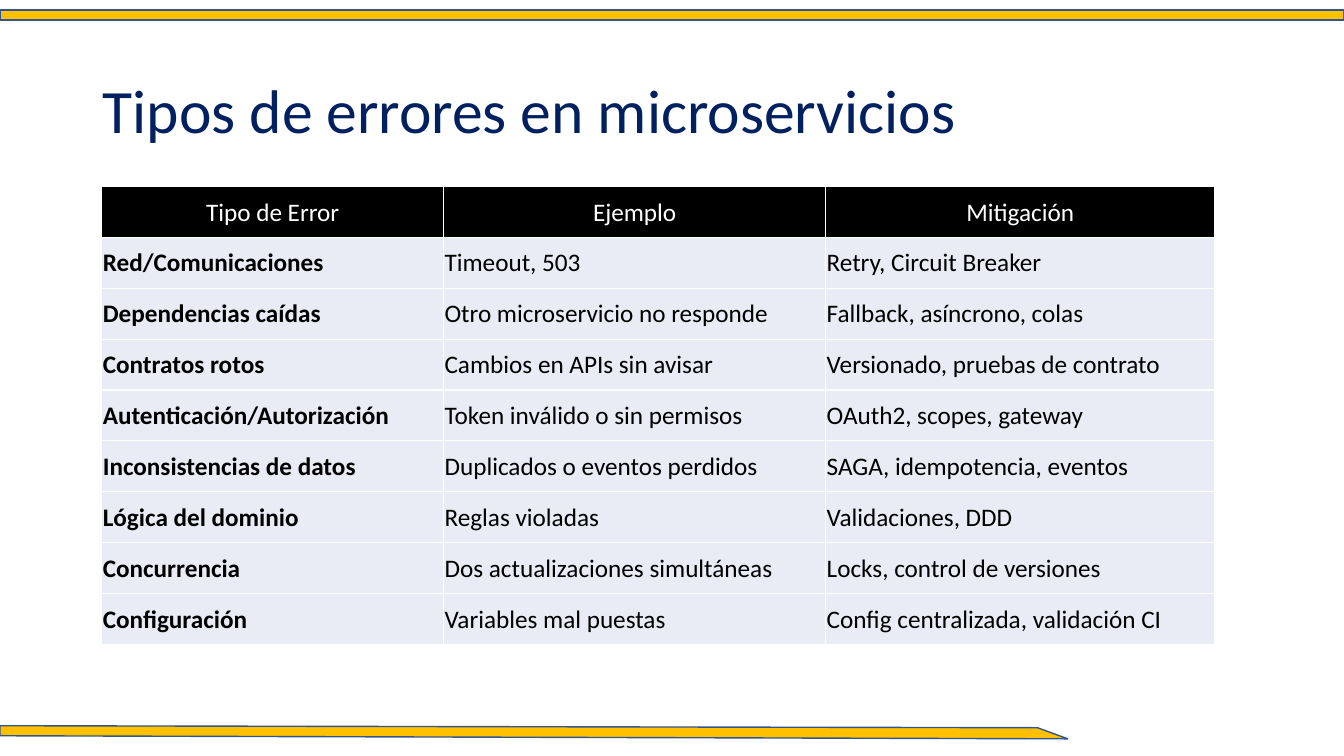
from dataclasses import dataclass

from lxml import etree
from pptx import Presentation
from pptx.dml.color import RGBColor
from pptx.enum.shapes import MSO_SHAPE
from pptx.enum.text import MSO_ANCHOR, MSO_AUTO_SIZE, PP_ALIGN
from pptx.oxml.ns import qn
from pptx.util import Inches, Pt

RECTANGLE = MSO_SHAPE.RECTANGLE
MIDDLE = MSO_ANCHOR.MIDDLE
NO_AUTOFIT = MSO_AUTO_SIZE.NONE
LEFT, CENTER = PP_ALIGN.LEFT, PP_ALIGN.CENTER

SLIDE_WIDTH, SLIDE_HEIGHT = 13.33, 7.5
TITLE_ONLY_LAYOUT = 5


@dataclass(frozen=True)
class Theme:
    font: str = "Calibri"
    title_size: int = 44
    table_size: int = 18
    line_width: int = 1
    title: str = "002060"
    band: str = "FFC000"
    band_line: str = "325491"
    header_fill: str = "000000"
    header_text: str = "FFFFFF"
    body_fill: str = "E9EBF5"
    body_text: str = "000000"
    border: str = "FFFFFF"


THEME = Theme()

TITLE = "Tipos de errores en microservicios"
COLUMN_WIDTHS = (3.39, 3.79, 3.86)
ROW_HEIGHT = 0.505
TABLE_LEFT, TABLE_TOP = 1.01, 1.85
ERROR_TABLE = (
    ("Tipo de Error", "Ejemplo", "Mitigación"),
    ("Red/Comunicaciones", "Timeout, 503", "Retry, Circuit Breaker"),
    ("Dependencias caídas", "Otro microservicio no responde", "Fallback, asíncrono, colas"),
    ("Contratos rotos", "Cambios en APIs sin avisar", "Versionado, pruebas de contrato"),
    ("Autenticación/Autorización", "Token inválido o sin permisos", "OAuth2, scopes, gateway"),
    ("Inconsistencias de datos", "Duplicados o eventos perdidos", "SAGA, idempotencia, eventos"),
    ("Lógica del dominio", "Reglas violadas", "Validaciones, DDD"),
    ("Concurrencia", "Dos actualizaciones simultáneas", "Locks, control de versiones"),
    ("Configuración", "Variables mal puestas", "Config centralizada, validación CI"),
)
FOOTER_OUTLINE = ((0, 7.2), (10.29, 7.22), (10.59, 7.33), (0, 7.3))


def style_paragraph(para, size, color, align=LEFT, bold=False):
    para.alignment = align
    para.font.name = THEME.font
    para.font.size = Pt(size)
    para.font.bold = bold
    para.font.color.rgb = RGBColor.from_string(color)


def style_band(band):
    band.shadow.inherit = False
    band.fill.solid()
    band.fill.fore_color.rgb = RGBColor.from_string(THEME.band)
    band.line.color.rgb = RGBColor.from_string(THEME.band_line)
    band.line.width = Pt(THEME.line_width)


def add_top_band(slide):
    style_band(slide.shapes.add_shape(
        RECTANGLE, 0, Inches(0.1), Inches(SLIDE_WIDTH), Inches(0.1)))


def add_footer_band(slide):
    start, *corners = [(Inches(x), Inches(y)) for x, y in FOOTER_OUTLINE]
    builder = slide.shapes.build_freeform(*start)
    builder.add_line_segments(corners, close=True)
    style_band(builder.convert_to_shape())


def set_title(slide):
    title = slide.shapes.title
    title.left, title.top = Inches(0.92), Inches(0.4)
    title.width, title.height = Inches(11.5), Inches(1.45)
    frame = title.text_frame
    frame.text = TITLE
    frame.auto_size = NO_AUTOFIT
    frame.vertical_anchor = MIDDLE
    para = frame.paragraphs[0]
    para.line_spacing = 0.9
    style_paragraph(para, THEME.title_size, THEME.title)


def add_borders(cell):
    """Line all four sides; must run before the cell's fill is set."""
    properties = cell._tc.get_or_add_tcPr()
    for side in ("a:lnL", "a:lnR", "a:lnT", "a:lnB"):
        line = etree.SubElement(properties, qn(side), w=str(Pt(THEME.line_width)))
        fill = etree.SubElement(line, qn("a:solidFill"))
        etree.SubElement(fill, qn("a:srgbClr"), val=THEME.border)


def fill_cell(cell, text, is_header, is_label):
    add_borders(cell)
    cell.fill.solid()
    cell.fill.fore_color.rgb = RGBColor.from_string(
        THEME.header_fill if is_header else THEME.body_fill)
    cell.margin_left = cell.margin_right = cell.margin_top = Inches(0.01)
    cell.margin_bottom = 0
    cell.vertical_anchor = MIDDLE
    cell.text = text
    style_paragraph(
        cell.text_frame.paragraphs[0],
        THEME.table_size,
        THEME.header_text if is_header else THEME.body_text,
        align=CENTER if is_header else LEFT,
        bold=is_label and not is_header)


def add_error_table(slide):
    table = slide.shapes.add_table(
        len(ERROR_TABLE), len(COLUMN_WIDTHS),
        Inches(TABLE_LEFT), Inches(TABLE_TOP),
        Inches(sum(COLUMN_WIDTHS)), Inches(ROW_HEIGHT * len(ERROR_TABLE))).table
    table.horz_banding = False
    for column, width in zip(table.columns, COLUMN_WIDTHS):
        column.width = Inches(width)
    for row_index, texts in enumerate(ERROR_TABLE):
        table.rows[row_index].height = Inches(ROW_HEIGHT)
        for column_index, text in enumerate(texts):
            fill_cell(table.cell(row_index, column_index), text,
                      is_header=row_index == 0, is_label=column_index == 0)


def main():
    deck = Presentation()
    deck.slide_width = Inches(SLIDE_WIDTH)
    deck.slide_height = Inches(SLIDE_HEIGHT)
    slide = deck.slides.add_slide(deck.slide_layouts[TITLE_ONLY_LAYOUT])
    add_top_band(slide)
    add_footer_band(slide)
    set_title(slide)
    add_error_table(slide)
    deck.save("out.pptx")


if __name__ == "__main__":
    main()
